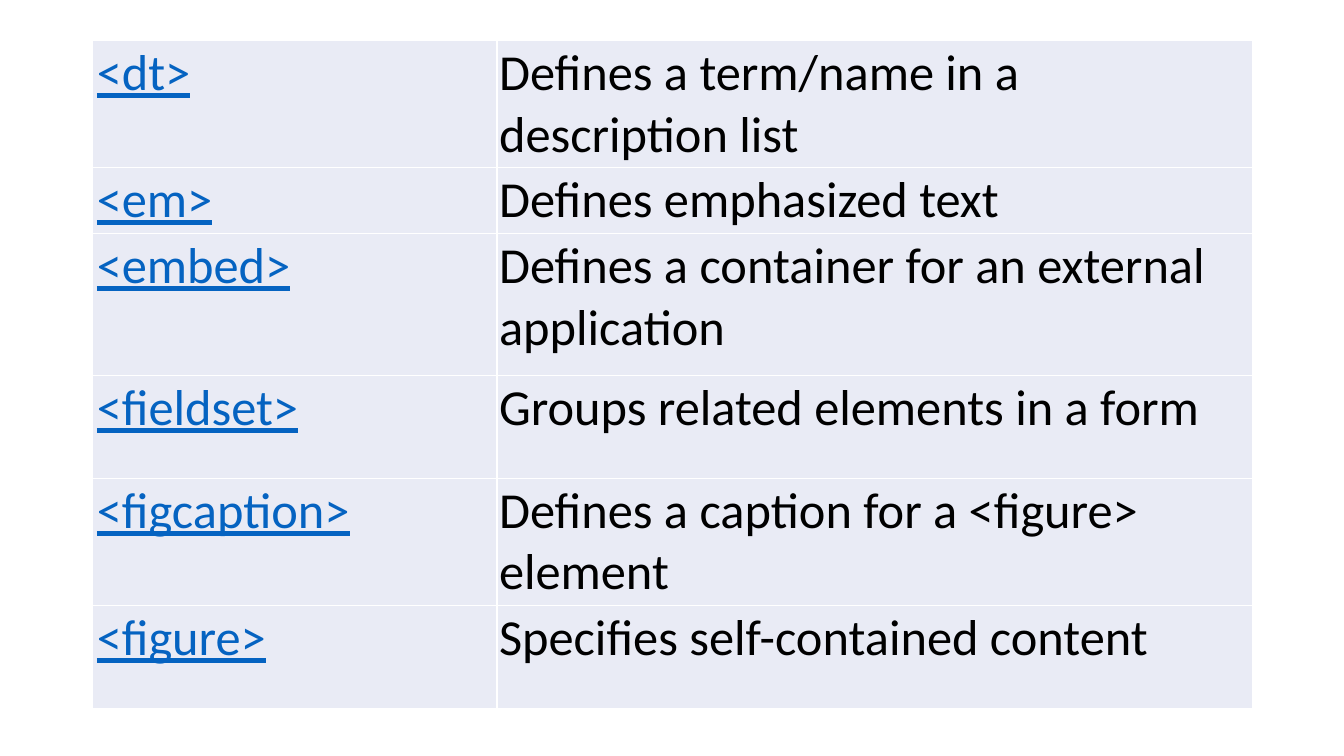
from lxml import etree
from pptx import Presentation
from pptx.dml.color import RGBColor
from pptx.oxml.ns import qn
from pptx.util import Inches, Pt

LINK_BLUE = RGBColor(0x05, 0x63, 0xC1)
BLACK = RGBColor(0x00, 0x00, 0x00)
CELL_FILL = RGBColor(0xE9, 0xEB, 0xF5)
WHITE = RGBColor(0xFF, 0xFF, 0xFF)

BLANK_LAYOUT = 6
COLUMN_WIDTHS = (4.01, 7.49)

# Tag, description, row height in inches
TAGS = [
    ("<dt>", "Defines a term/name in a description list", 1.22),
    ("<em>", "Defines emphasized text ", 0.63),
    ("<embed>", "Defines a container for an external application", 1.41),
    ("<fieldset>", "Groups related elements in a form", 1.02),
    ("<figcaption>", "Defines a caption for a <figure> element", 1.22),
    ("<figure>", "Specifies self-contained content", 1.02),
]


class SlideBuilder:
    font_name = "Calibri"
    font_size = Pt(36)
    border_width = Pt(1)

    def __init__(self, slide):
        self.slide = slide

    def add_text(self, text_frame, text, color=BLACK, underline=False):
        run = text_frame.paragraphs[0].add_run()
        run.text = text
        run.font.name = self.font_name
        run.font.size = self.font_size
        run.font.color.rgb = color
        run.font.underline = underline

    def add_borders(self, cell):
        properties = cell._tc.get_or_add_tcPr()
        for side in ("a:lnL", "a:lnR", "a:lnT", "a:lnB"):
            line = etree.SubElement(properties, qn(side), w=str(self.border_width))
            fill = etree.SubElement(line, qn("a:solidFill"))
            etree.SubElement(fill, qn("a:srgbClr"), val=str(WHITE))

    def format_cell(self, cell, left_margin):
        self.add_borders(cell)
        cell.fill.solid()
        cell.fill.fore_color.rgb = CELL_FILL
        cell.margin_left = Inches(left_margin)
        cell.margin_right = cell.margin_top = cell.margin_bottom = Inches(0.02)

    def add_tag_table(self, tags, left, top):
        width = sum(COLUMN_WIDTHS)
        height = sum(row_height for _, _, row_height in tags)
        table = self.slide.shapes.add_table(
            len(tags), len(COLUMN_WIDTHS),
            Inches(left), Inches(top), Inches(width), Inches(height),
        ).table
        table.first_row = False
        table.horz_banding = False
        for column, column_width in zip(table.columns, COLUMN_WIDTHS):
            column.width = Inches(column_width)
        for row, (tag, description, row_height) in zip(table.rows, tags):
            row.height = Inches(row_height)
            tag_cell, description_cell = row.cells
            self.format_cell(tag_cell, left_margin=0.04)
            self.format_cell(description_cell, left_margin=0.02)
            self.add_text(tag_cell.text_frame, tag, color=LINK_BLUE, underline=True)
            self.add_text(description_cell.text_frame, description)


def main():
    presentation = Presentation()
    presentation.slide_width = Inches(13.33)
    presentation.slide_height = Inches(7.5)
    slide = presentation.slides.add_slide(presentation.slide_layouts[BLANK_LAYOUT])
    SlideBuilder(slide).add_tag_table(TAGS, left=0.92, top=0.4)
    presentation.save("out.pptx")


if __name__ == "__main__":
    main()
